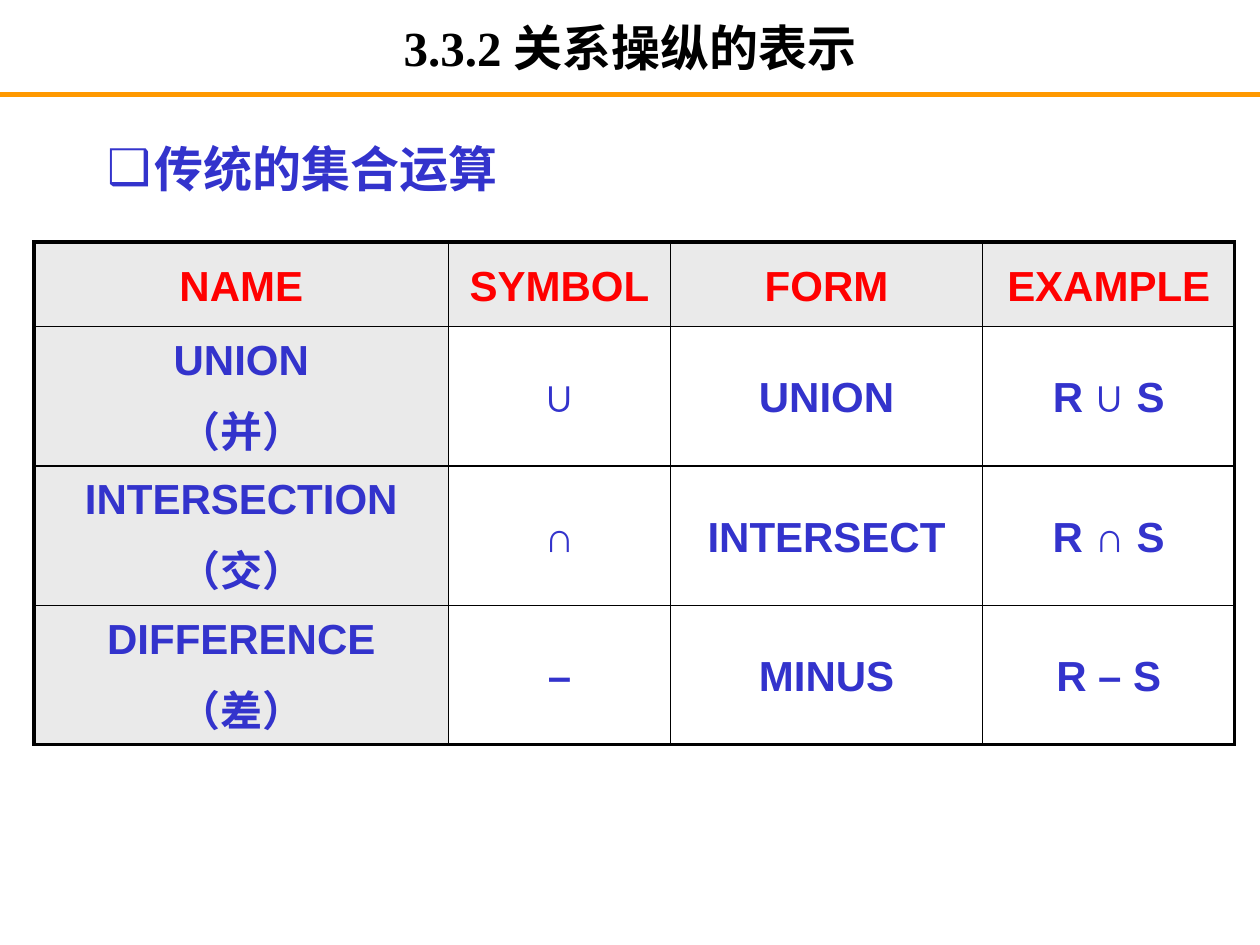
from dataclasses import dataclass
from lxml import etree
from pptx import Presentation
from pptx.dml.color import RGBColor as RGB
from pptx.enum import shapes, text
from pptx.oxml.ns import qn
from pptx.util import Inches, Pt


@dataclass
class Theme:
    ink: str = "000000"
    blue: str = "3333CC"
    red: str = "FF0000"
    rule: str = "FF9900"
    shade: str = "EAEAEA"
    plain: str = "FFFFFF"
    serif: str = "Times New Roman"
    sans: str = "Arial"
    asian: str = "Noto Sans CJK SC"
    head: int = 28
    cell: int = 24
    thin: float = 1
    thick: float = 2.25


def style(run, size, color, face):
    font = run.font
    font.size, font.bold, font.name = Pt(size), True, face
    font.color.rgb = RGB.from_string(color)
    etree.SubElement(font._element, qn("a:ea"), typeface=theme.asian)


def border(cell, side, width):
    line = etree.SubElement(cell._tc.get_or_add_tcPr(), qn("a:" + side), w=str(Pt(width)))
    fill = etree.SubElement(line, qn("a:solidFill"))
    etree.SubElement(fill, qn("a:srgbClr"), val=theme.ink)


theme = Theme()
deck = Presentation()
deck.slide_width, deck.slide_height = Inches(10), Inches(7.5)
slide = deck.slides.add_slide(deck.slide_layouts[1])

title = slide.shapes.title
title.left, title.top = Inches(0.75), Inches(0.08)
title.width, title.height = Inches(8.5), Inches(0.58)
title.text_frame.vertical_anchor = text.MSO_ANCHOR.MIDDLE
para = title.text_frame.paragraphs[0]
para.alignment = text.PP_ALIGN.CENTER
for words, face in (("3.3.2 ", theme.serif), ("关系操纵的表示", theme.asian)):
    run = para.add_run()
    run.text = words
    style(run, theme.head, theme.ink, face)

body = slide.placeholders[1]
body.left, body.top = Inches(0.75), Inches(1)
body.width, body.height = Inches(8.5), Inches(5.92)
para = body.text_frame.paragraphs[0]
para.text = "传统的集合运算"
para.line_spacing, para.space_before = 1.1, Pt(theme.head * 0.2)
style(para.runs[0], theme.head, theme.blue, theme.serif)
props = para._p.get_or_add_pPr()
props.set("marL", str(Inches(0.38)))
props.set("indent", str(Inches(-0.38)))
etree.SubElement(props, qn("a:buChar"), char="❑")

rule = slide.shapes.add_connector(
    shapes.MSO_CONNECTOR.STRAIGHT, Inches(0), Inches(0.75), Inches(10), Inches(0.75))
rule.line.color.rgb = RGB.from_string(theme.rule)
rule.line.width = Pt(3)
etree.SubElement(rule._element.spPr, qn("a:effectLst"))

rows = [
    ("NAME", "SYMBOL", "FORM", "EXAMPLE"),
    ("UNION\n（并）", "∪", "UNION", "R ∪ S"),
    ("INTERSECTION\n（交）", "∩", "INTERSECT", "R ∩ S"),
    ("DIFFERENCE\n（差）", "–", "MINUS", "R – S"),
]
widths = (3.29, 1.76, 2.48, 2)
heights = (0.67, 1.06, 1.06, 1.06)
table = slide.shapes.add_table(
    len(rows), len(widths), Inches(0.27), Inches(1.92), Inches(9.53), Inches(3.85)).table
table.first_row = table.horz_banding = False
for col, width in zip(table.columns, widths):
    col.width = Inches(width)
for row, height in zip(table.rows, heights):
    row.height = Inches(height)

for r, row in enumerate(rows):
    for c, words in enumerate(row):
        cell = table.cell(r, c)
        cell.text_frame.text = words
        cell.vertical_anchor = text.MSO_ANCHOR.MIDDLE
        for para in cell.text_frame.paragraphs:
            para.alignment = text.PP_ALIGN.CENTER
            para.line_spacing, para.space_before = 1.1, Pt(theme.cell * 0.2)
            style(para.runs[0], theme.cell, theme.blue if r else theme.red, theme.sans)
        edges = {"lnL": c == 0, "lnR": c == len(widths) - 1,
                 "lnT": r == 0, "lnB": r == len(rows) - 1}
        for side, outer in edges.items():
            border(cell, side, theme.thick if outer else theme.thin)
        cell.fill.solid()
        cell.fill.fore_color.rgb = RGB.from_string(
            theme.shade if r == 0 or c == 0 else theme.plain)

deck.save("out.pptx")
